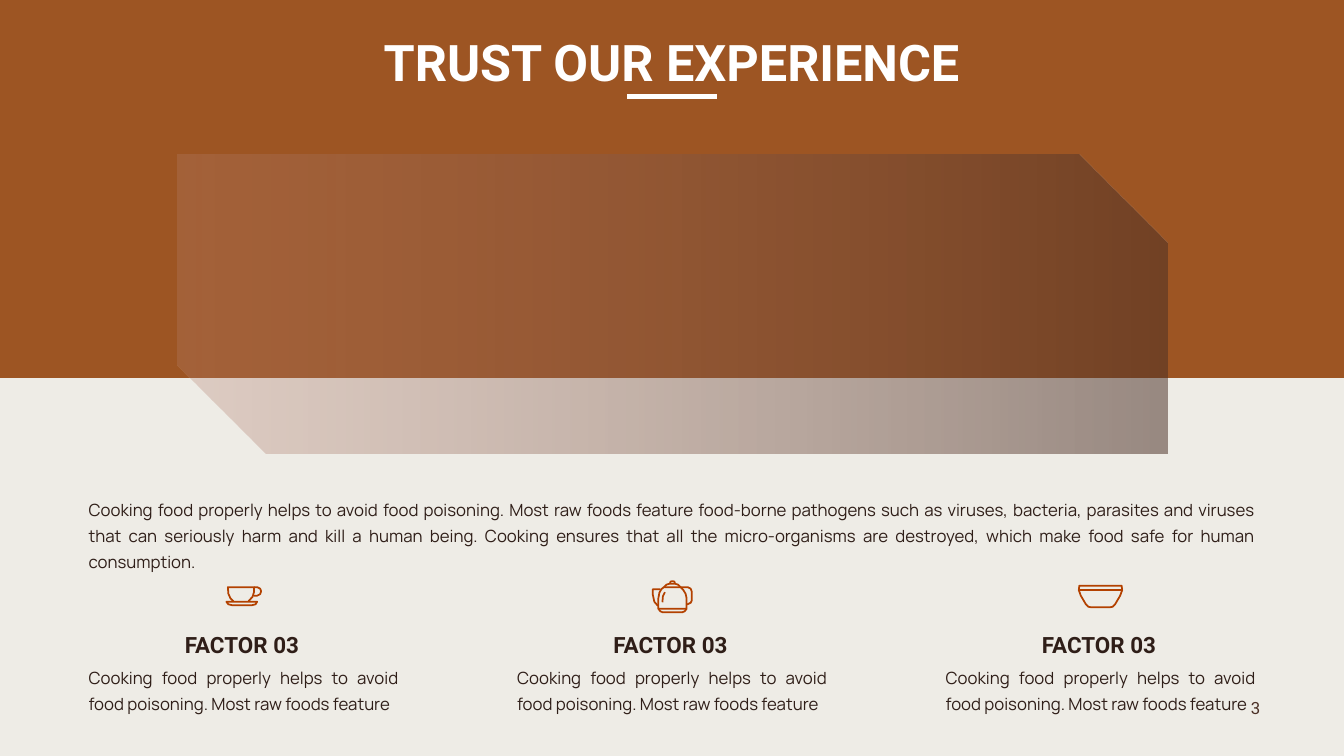
from dataclasses import dataclass
from typing import Any, List, Tuple

from lxml.etree import SubElement
from pptx import Presentation
from pptx.dml.color import RGBColor
from pptx.enum.shapes import MSO_CONNECTOR, MSO_SHAPE
from pptx.enum.text import MSO_ANCHOR, MSO_AUTO_SIZE, PP_ALIGN
from pptx.oxml.ns import qn
from pptx.util import Inches, Pt

COLORS = {
    "background": "EEECE6",
    "band": "9D5523",
    "panel_start": "B5806E",
    "panel_end": "4C3127",
    "white": "FFFFFF",
    "text": "2F1E18",
    "icon": "B34100",
}
INTRO = (
    "Cooking food properly helps to avoid food poisoning. Most raw foods feature "
    "food-borne pathogens such as viruses, bacteria, parasites and viruses that can "
    "seriously harm and kill a human being. Cooking ensures that all the "
    "micro-organisms are destroyed, which make food safe for human consumption."
)
FACTOR_TITLE = "FACTOR 03"
FACTOR_TEXT = "Cooking food properly helps to avoid food poisoning. Most raw foods feature"
MARGIN = 1.66
COLUMN_STEP = 8.5

Points = List[Tuple[float, float]]


@dataclass
class Style:
    font: str
    size: int
    color: str
    bold: bool = False
    align: Any = PP_ALIGN.LEFT
    anchor: Any = MSO_ANCHOR.TOP
    wrap: bool = False
    spacing: Any = None
    inset: bool = True


@dataclass
class Stroke:
    points: Points
    closed: bool = False


HEADING = Style("Roboto", 72, "white", bold=True, align=PP_ALIGN.CENTER)
BODY = Style("Manrope", 24, "text", align=PP_ALIGN.JUSTIFY, wrap=True, spacing=Pt(37))
FACTOR = Style("Roboto", 32, "text", bold=True, anchor=MSO_ANCHOR.MIDDLE)
NUMBER = Style("Roboto", 24, "panel_end", align=PP_ALIGN.RIGHT,
               anchor=MSO_ANCHOR.BOTTOM, inset=False)

CUP = [
    Stroke([(4.63, 11.93), (4.57, 11.87), (4.53, 11.78), (4.52, 11.65), (5.04, 11.65),
            (5.04, 11.74), (5.01, 11.84), (4.93, 11.93)]),
    Stroke([(4.49, 11.94), (5.1, 11.94), (5.07, 11.99), (4.99, 12.01), (4.61, 12.01),
            (4.53, 11.99)], True),
    Stroke([(5.04, 11.65), (5.1, 11.65), (5.16, 11.68), (5.18, 11.73), (5.16, 11.79),
            (5.1, 11.82), (5.03, 11.82)]),
]
TEAPOT = [
    Stroke([(13.06, 12.08), (13.06, 11.87), (13.08, 11.76), (13.12, 11.69), (13.17, 11.65),
            (13.5, 11.65), (13.55, 11.7), (13.6, 11.78), (13.62, 11.87), (13.62, 12.08)], True),
    Stroke([(13.06, 12.08), (13.1, 12.13), (13.15, 12.15), (13.53, 12.15), (13.58, 12.13),
            (13.62, 12.08)]),
    Stroke([(13.1, 11.69), (12.95, 11.69), (12.95, 11.8), (12.98, 11.94), (13.05, 12.02)]),
    Stroke([(13.5, 11.65), (13.64, 11.65), (13.7, 11.68), (13.72, 11.73), (13.72, 11.92),
            (13.7, 11.96), (13.64, 11.99), (13.62, 11.99)]),
    Stroke([(13.17, 11.65), (13.22, 11.6), (13.29, 11.58), (13.38, 11.58), (13.45, 11.6),
            (13.5, 11.65)]),
    Stroke([(13.29, 11.58), (13.3, 11.54), (13.34, 11.53), (13.38, 11.54), (13.39, 11.58)]),
    Stroke([(13.19, 11.75), (13.15, 11.83), (13.14, 11.95)]),
]
BOWL = [
    Stroke([(21.4, 11.71), (21.41, 11.62), (22.25, 11.62), (22.26, 11.71), (22.22, 11.82),
            (22.12, 11.99), (22.07, 12.04), (22.01, 12.05), (21.65, 12.05), (21.59, 12.04),
            (21.54, 11.99), (21.44, 11.82)], True),
    Stroke([(21.4, 11.71), (22.26, 11.71)]),
]


def color(name: str) -> RGBColor:
    return RGBColor.from_string(COLORS[name])


def place(shape: Any, left: float, top: float, width: float, height: float) -> None:
    values = {"left": left, "top": top, "width": width, "height": height}
    for name, value in values.items():
        setattr(shape, name, Inches(value))


def write(box: Any, text: str, style: Style) -> None:
    frame = box.text_frame
    frame.text = text
    formats = {"word_wrap": style.wrap, "vertical_anchor": style.anchor,
               "auto_size": MSO_AUTO_SIZE.SHAPE_TO_FIT_TEXT}
    if not style.inset:
        for side in ("left", "top", "right", "bottom"):
            formats[f"margin_{side}"] = 0
    for name, value in formats.items():
        setattr(frame, name, value)
    para = frame.paragraphs[0]
    para.alignment = style.align
    para.line_spacing = style.spacing
    span = para.runs[0]
    for name, value in {"name": style.font, "size": Pt(style.size), "bold": style.bold}.items():
        setattr(span.font, name, value)
    span.font.color.rgb = color(style.color)


def add_text(page: Any, text: str, style: Style, left: float, top: float,
             width: float, height: float) -> None:
    box = page.shapes.add_textbox(*map(Inches, (left, top, width, height)))
    write(box, text, style)


def add_block(page: Any, kind: Any, left: float, top: float,
              width: float, height: float) -> Any:
    block = page.shapes.add_shape(kind, *map(Inches, (left, top, width, height)))
    block.shadow.inherit = False
    block.line.fill.background()
    return block


def add_panel(page: Any) -> None:
    panel = add_block(page, MSO_SHAPE.SNIP_2_DIAG_RECTANGLE, 3.52, 3.07, 19.63, 5.93)
    panel.adjustments[0] = 0
    panel.adjustments[1] = 0.296
    panel.fill.gradient()
    panel.fill.gradient_angle = 0
    for stop, name in zip(panel.fill.gradient_stops, ("panel_start", "panel_end")):
        stop.color.rgb = color(name)
    for tone, opacity in zip(panel.element.iter(qn("a:srgbClr")), (30, 53)):
        SubElement(tone, qn("a:alpha")).set("val", str(opacity * 1000))


def add_icon(page: Any, strokes: List[Stroke]) -> None:
    builder = None
    for stroke in strokes:
        start, *rest = [(Inches(x), Inches(y)) for x, y in stroke.points]
        if builder is None:
            builder = page.shapes.build_freeform(*start)
        else:
            builder.move_to(*start)
        builder.add_line_segments(rest, close=stroke.closed)
    icon = builder.convert_to_shape()
    icon.shadow.inherit = False
    icon.fill.background()
    icon.line.color.rgb = color("icon")
    icon.line.width = Pt(2.5)


def main() -> None:
    deck = Presentation()
    deck.slide_width, deck.slide_height = Inches(26.66), Inches(15)
    page = deck.slides.add_slide(deck.slide_layouts[5])
    page.background.fill.solid()
    page.background.fill.fore_color.rgb = color("background")

    add_text(page, "3", NUMBER, 24.59, 13.84, 0.41, 0.4)
    band = add_block(page, MSO_SHAPE.RECTANGLE, 0, 0, 26.66, 7.5)
    band.fill.solid()
    band.fill.fore_color.rgb = color("band")
    add_panel(page)

    title = page.shapes.title
    page.shapes.element.append(title.element)
    place(title, 7.4, 0.57, 11.85, 1.31)
    write(title, "TRUST OUR EXPERIENCE", HEADING)

    underline = page.shapes.add_connector(
        MSO_CONNECTOR.STRAIGHT, *map(Inches, (12.44, 1.92, 14.22, 1.92)))
    underline.line.color.rgb = color("white")
    underline.line.width = Pt(7)
    SubElement(underline.element.spPr, qn("a:effectLst"))

    add_text(page, INTRO, BODY, MARGIN, 9.75, 23.33, 1.09)
    for column, strokes in enumerate((CUP, TEAPOT, BOWL)):
        left = MARGIN + column * COLUMN_STEP
        add_icon(page, strokes)
        add_text(page, FACTOR_TITLE, FACTOR, left + 1.91, 12.46, 2.52, 0.64)
        add_text(page, FACTOR_TEXT, BODY, left, 13.08, 6.34, 1.09)

    deck.save("out.pptx")


if __name__ == "__main__":
    main()
